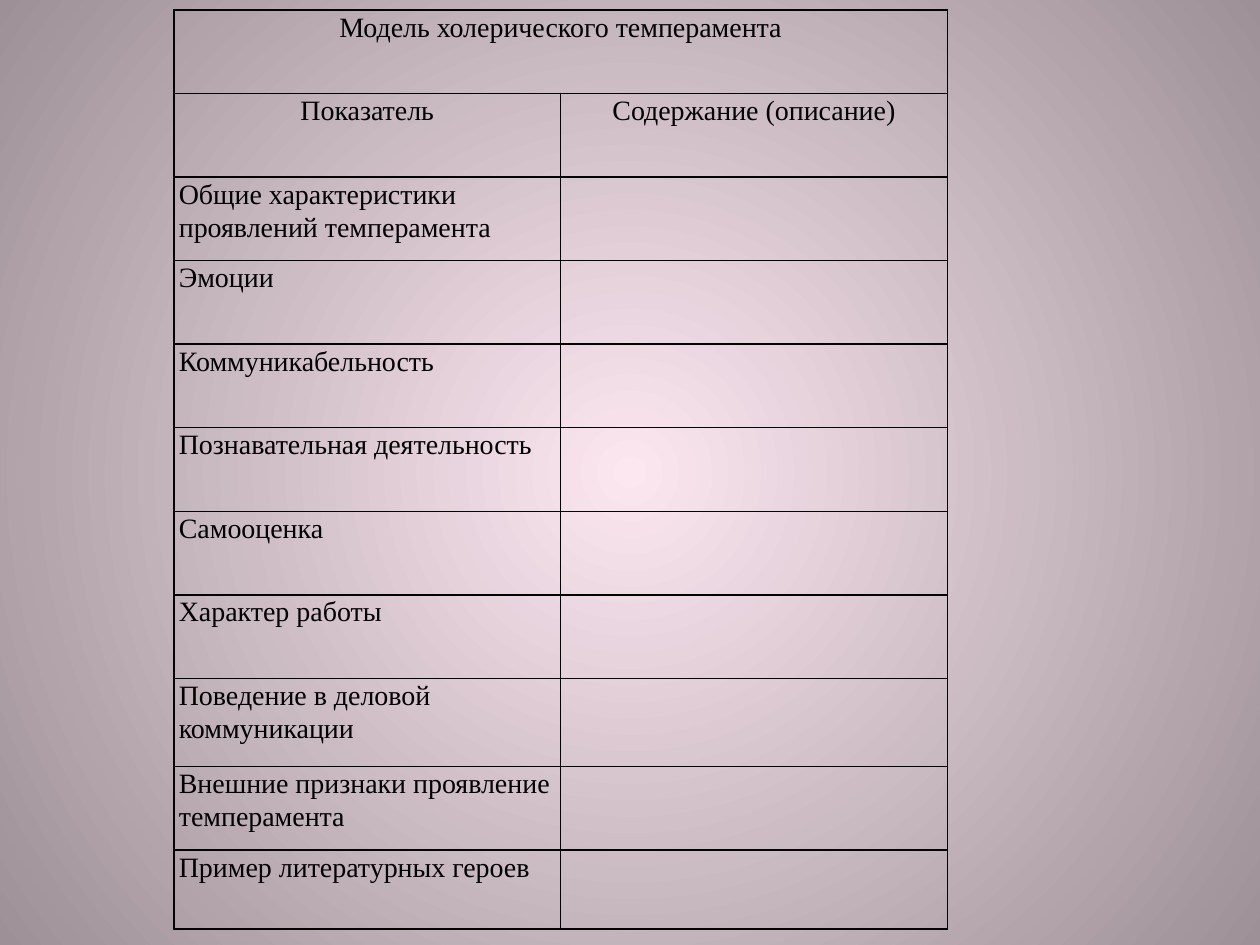
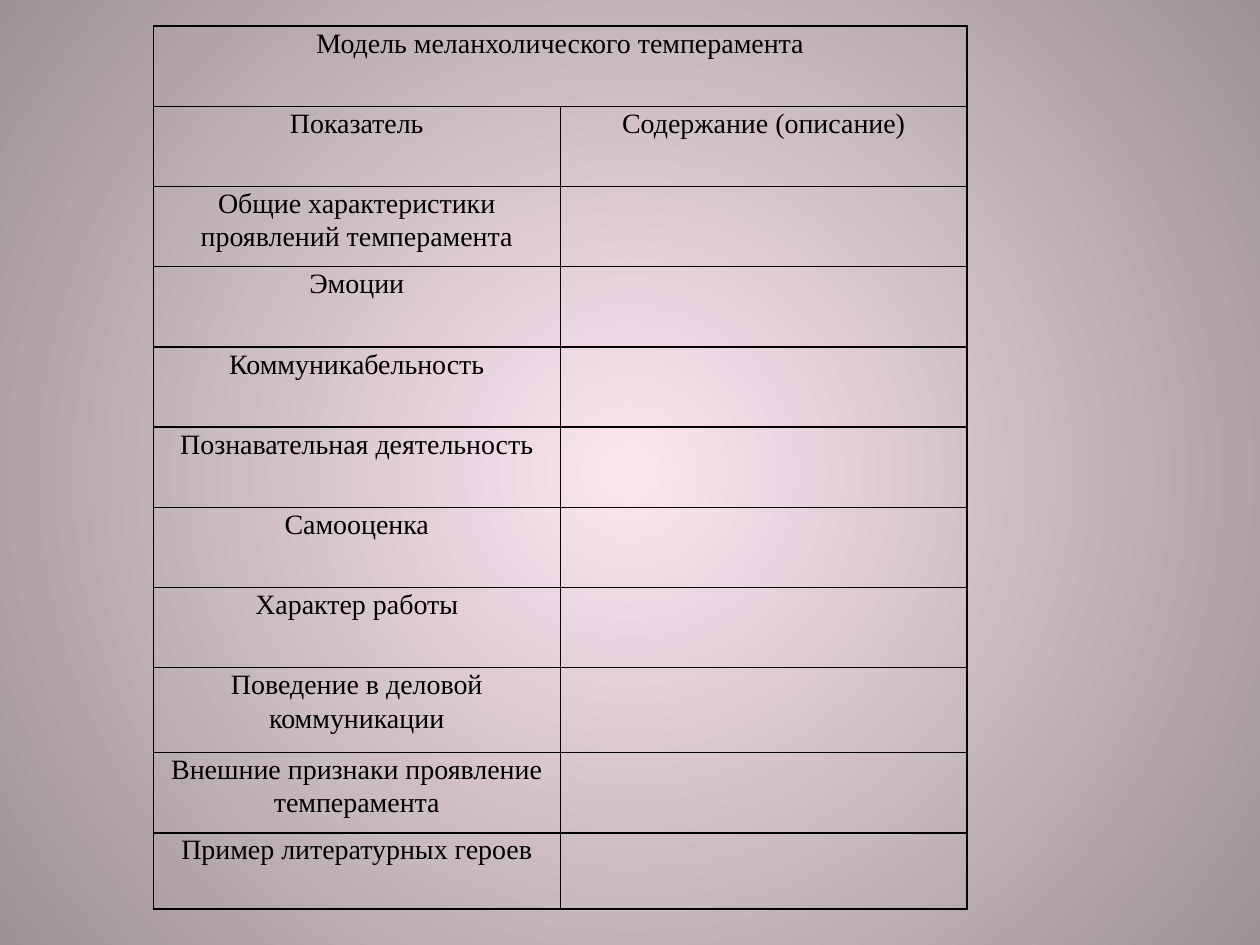
from dataclasses import dataclass

import lxml.etree
import pptx
import pptx.dml.color
import pptx.enum.text
import pptx.oxml
import pptx.oxml.ns
import pptx.slide
import pptx.table
import pptx.util

# Shared look
PX = 3048  # EMU in one px, 300 px to the inch
FONT = "Times New Roman"
HUES = {"glow": "FCE7F1", "edge": "9D9096", "ink": "000000"}
ALIGN = pptx.enum.text.PP_ALIGN
INSET = 12

# Shared wording
HEADS = ("Показатель", "Содержание (описание)")
TRAITS = (
    "Общие характеристики проявлений темперамента",
    "Эмоции",
    "Коммуникабельность",
    "Познавательная деятельность",
    "Самооценка",
    "Характер работы",
    "Поведение в деловой коммуникации",
    "Внешние признаки проявление темперамента",
    "Пример литературных героев",
)


@dataclass(frozen=True)
class Model:
    title: str
    left: int
    top: int
    width: int  # of one column
    row: int  # usual row height
    tall: int  # row before the last two
    last: int
    align: ALIGN

    def rows(self) -> list[int]:
        return [self.row] * 8 + [self.tall, self.row, self.last]


MODELS = (
    Model("Модель холерического темперамента", 414, 24, 921, 199, 210, 188, ALIGN.LEFT),
    Model("Модель меланхолического темперамента", 365, 62, 969, 191, 202, 181, ALIGN.CENTER),
)


def px(count: int) -> pptx.util.Emu:
    return pptx.util.Emu(count * PX)


def hue(name: str) -> pptx.dml.color.RGBColor:
    return pptx.dml.color.RGBColor.from_string(HUES[name])


def glow(slide: pptx.slide.Slide) -> None:
    """Fill the background from the centre outwards."""
    fill = slide.background.fill
    fill.gradient()
    for stop, name, place in zip(fill.gradient_stops, ("glow", "edge"), (0, 1)):
        stop.color.rgb = hue(name)
        stop.position = place
    line = slide.element.find(".//" + pptx.oxml.ns.qn("a:lin"))
    ring = pptx.oxml.parse_xml(
        f'<a:path {pptx.oxml.ns.nsdecls("a")} path="circle">'
        '<a:fillToRect l="50000" t="50000" r="50000" b="50000"/></a:path>'
    )
    line.getparent().replace(line, ring)


def frame(cell: pptx.table._Cell) -> None:
    """Give a cell no fill, narrow margins and thin borders."""
    cell.fill.background()
    cell.margin_left = cell.margin_right = px(INSET)
    cell.margin_top = cell.margin_bottom = 0
    props = cell._tc.get_or_add_tcPr()
    for spot, side in enumerate("LRTB"):
        props.insert(spot, pptx.oxml.parse_xml(
            f'<a:ln{side} {pptx.oxml.ns.nsdecls("a")} w="{pptx.util.Pt(1)}">'
            f'<a:solidFill><a:srgbClr val="{HUES["ink"]}"/></a:solidFill></a:ln{side}>'
        ))


def write(cell: pptx.table._Cell, text: str, *, align: ALIGN = ALIGN.CENTER,
          size: int = 16, color: str = "ink") -> None:
    para = cell.text_frame.paragraphs[0]
    para.alignment = align
    para.line_spacing = 1.07
    run = para.add_run()
    run.text = text
    run.font.name = FONT
    run.font.size = pptx.util.Pt(size)
    run.font.color.rgb = hue(color)


def chart(slide: pptx.slide.Slide, model: Model) -> None:
    """Draw the table of one temperament."""
    rows = model.rows()
    grid = slide.shapes.add_table(
        len(rows), 2, px(model.left), px(model.top), px(2 * model.width), px(sum(rows))
    ).table
    grid.first_row = grid.horz_banding = False
    for col in grid.columns:
        col.width = px(model.width)
    for row, high in zip(grid.rows, rows):
        row.height = px(high)
    for cell in grid.iter_cells():
        frame(cell)

    # Title and column heads
    grid.cell(0, 0).merge(grid.cell(0, 1))
    write(grid.cell(0, 0), model.title)
    for col, head in enumerate(HEADS):
        write(grid.cell(1, col), head)

    # Traits, with room for answers beside them
    for row, trait in enumerate(TRAITS, start=2):
        write(grid.cell(row, 0), trait, align=model.align)


def main() -> None:
    deck = pptx.Presentation()
    deck.slide_width, deck.slide_height = px(3000), px(2250)
    for model in MODELS:
        slide = deck.slides.add_slide(deck.slide_layouts[6])
        glow(slide)
        chart(slide, model)
    deck.save("out.pptx")


if __name__ == "__main__":
    main()
